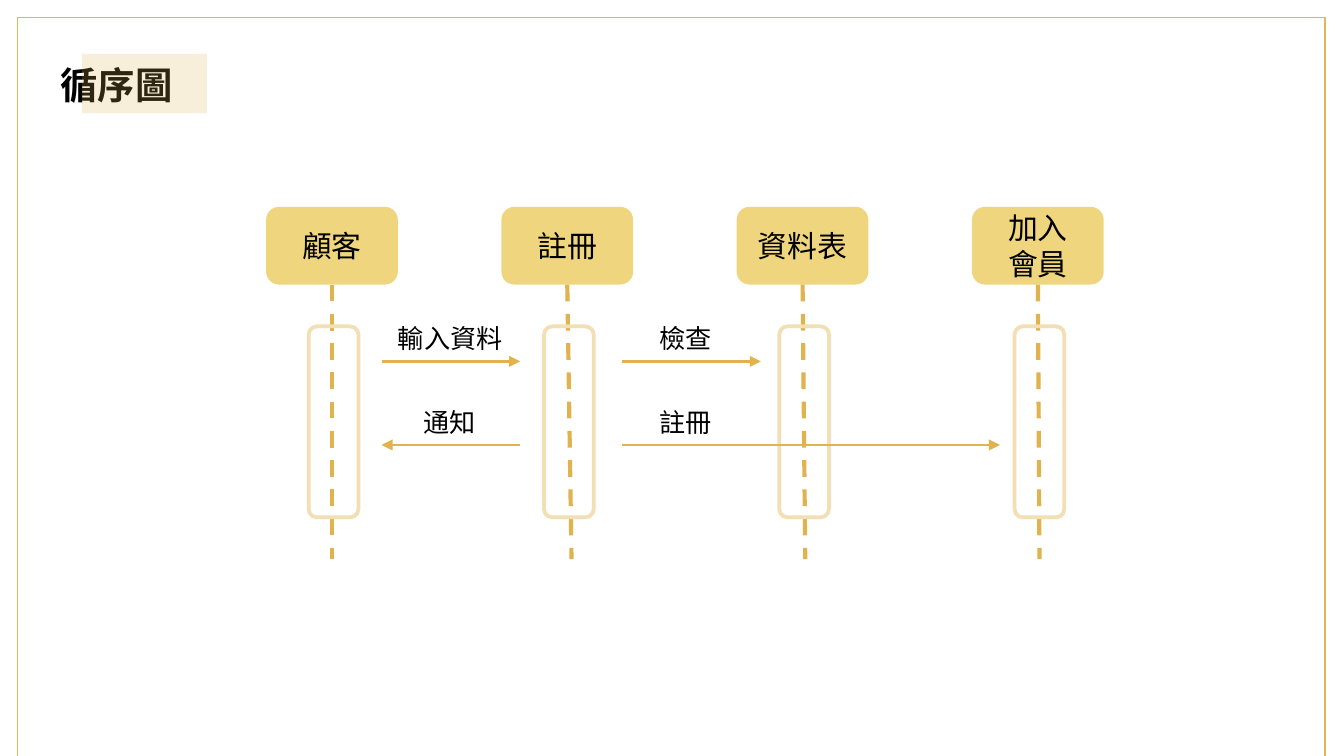
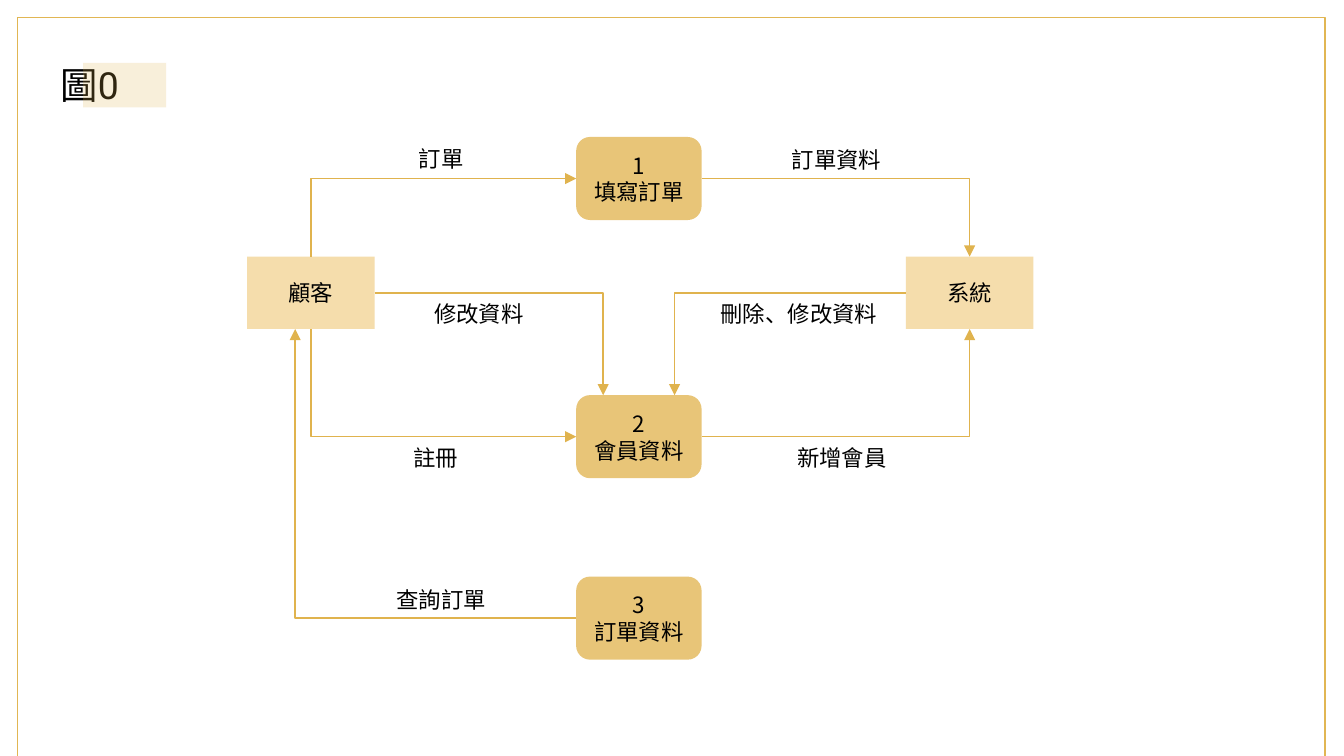
import collections

import lxml.etree
import pptx
import pptx.dml.color
import pptx.enum.dml
import pptx.enum.shapes
import pptx.enum.text
import pptx.oxml.ns
import pptx.util

Cm = pptx.util.Cm
Pt = pptx.util.Pt
RGBColor = pptx.dml.color.RGBColor
MSO_SHAPE = pptx.enum.shapes.MSO_SHAPE
MSO_CONNECTOR = pptx.enum.shapes.MSO_CONNECTOR
MSO_ANCHOR = pptx.enum.text.MSO_ANCHOR
PP_ALIGN = pptx.enum.text.PP_ALIGN
qn = pptx.oxml.ns.qn

BLACK = RGBColor(0x00, 0x00, 0x00)
FRAME_GOLD = RGBColor(0xE1, 0xB6, 0x53)
LINE_GOLD = RGBColor(0xE0, 0xB3, 0x4E)
HEADER_YELLOW = RGBColor(0xEF, 0xD6, 0x7E)
ACTIVATION_CREAM = RGBColor(0xF2, 0xDF, 0xB4)
PROCESS_GOLD = RGBColor(0xE8, 0xC5, 0x78)
ENTITY_CREAM = RGBColor(0xF5, 0xDD, 0xAC)

CJK_FONT = "Noto Sans CJK SC"
TITLE_FONT = "Roboto"
MESSAGE_FONT = "Arial"
CM_PER_POINT = 2.54 / 72

Box = collections.namedtuple("Box", "left top width height")


def format_text(text_frame, size, font_name=CJK_FONT, bold=False, align=PP_ALIGN.LEFT):
    """Format every run of a text frame alike."""
    for paragraph in text_frame.paragraphs:
        paragraph.alignment = align
        for run in paragraph.runs:
            run.font.size = Pt(size)
            run.font.name = font_name
            run.font.bold = bold
            run.font.color.rgb = BLACK
            east_asian = lxml.etree.Element(qn("a:ea"), typeface=CJK_FONT)
            run.font._element.find(qn("a:latin")).addnext(east_asian)


def add_box(slide, kind, box, fill=None, line=None, line_width=0.75, text="", size=12):
    """Add a preset shape with optional fill, outline and centred text."""
    shape = slide.shapes.add_shape(kind, *(Cm(length) for length in box))
    shape.shadow.inherit = False
    if fill is None:
        shape.fill.background()
    else:
        shape.fill.solid()
        shape.fill.fore_color.rgb = fill
    if line is None:
        shape.line.fill.background()
    else:
        shape.line.color.rgb = line
        shape.line.width = Pt(line_width)
    if text:
        shape.text_frame.text = text
        shape.text_frame.vertical_anchor = MSO_ANCHOR.MIDDLE
        format_text(shape.text_frame, size, align=PP_ALIGN.CENTER)
    return shape


def add_label(slide, center, top, text, size, font_name=CJK_FONT):
    """Add a one-line label centred on a horizontal position."""
    width = len(text) * size * CM_PER_POINT + 0.52
    height = 0.76 if size == 12 else 0.86
    label = slide.shapes.add_textbox(Cm(center - width / 2), Cm(top), Cm(width), Cm(height))
    label.text_frame.word_wrap = False
    label.text_frame.text = text
    format_text(label.text_frame, size, font_name)


def add_line(slide, start, end, width, arrow=True, kind=MSO_CONNECTOR.STRAIGHT):
    """Add a gold connector, with an arrowhead at its end if wanted."""
    connector = slide.shapes.add_connector(kind, *(Cm(length) for length in (*start, *end)))
    connector.line.color.rgb = LINE_GOLD
    connector.line.width = Pt(width)
    if arrow:
        outline = connector.line._get_or_add_ln()
        lxml.etree.SubElement(outline, qn("a:tailEnd"), type="triangle")
    lxml.etree.SubElement(connector.element.spPr, qn("a:effectLst"))
    return connector


def add_bend(slide, start, end, vertical_first=False):
    """Add an arrow with one right-angle bend; a vertical start must lead right."""
    if vertical_first:
        middle_x, middle_y = (start[0] + end[0]) / 2, (start[1] + end[1]) / 2
        half_x, half_y = (end[0] - start[0]) / 2, (end[1] - start[1]) / 2
        start = (middle_x + half_y, middle_y - half_x)
        end = (middle_x - half_y, middle_y + half_x)
    connector = add_line(slide, start, end, 0.75, kind=MSO_CONNECTOR.ELBOW)
    properties = connector.element.spPr
    properties.find(qn("a:prstGeom")).set("prst", "bentConnector2")
    if vertical_first:
        properties.find(qn("a:xfrm")).set("rot", str(270 * 60000))


def add_frame(slide, layout):
    """Put the thin gold frame on the shared layout."""
    frame = add_box(slide, MSO_SHAPE.RECTANGLE, Box(0.33, 0.33, 24.71, 13.97), line=FRAME_GOLD)
    layout.shapes.element.append(frame.element)


def add_title(slide, text, highlight, bold=False):
    """Format the title placeholder and lay a translucent highlight over it."""
    title = slide.shapes.title
    title.left, title.top, title.width, title.height = Cm(0.89), Cm(1.04), Cm(4.95), Cm(1.12)
    title.text_frame.text = text
    title.text_frame.vertical_anchor = MSO_ANCHOR.TOP
    title.text_frame.auto_size = pptx.enum.text.MSO_AUTO_SIZE.NONE
    format_text(title.text_frame, 20, TITLE_FONT, bold)
    shape = add_box(slide, MSO_SHAPE.RECTANGLE, highlight, fill=FRAME_GOLD)
    color = shape.element.spPr.find(qn("a:solidFill")).find(qn("a:srgbClr"))
    lxml.etree.SubElement(color, qn("a:alpha"), val="21000")


def add_lifelines(slide, box):
    """Draw the participants with their dashed lifelines and activation bars."""
    width, height, bar_width = 2.49, 1.47, 0.94
    participants = [("顧客", 0), ("註冊", 0.08), ("資料表", 0.05), ("加入\v會員", 0.03)]
    pitch = (box.width - width) / (len(participants) - 1)
    for index, (name, drift) in enumerate(participants):
        left = box.left + index * pitch
        center = left + width / 2
        header = add_box(slide, MSO_SHAPE.ROUNDED_RECTANGLE, Box(left, box.top, width, height),
                         fill=HEADER_YELLOW, text=name, size=16)
        lifeline = add_line(slide, (center, box.top + height),
                            (center + drift, box.top + box.height), 2.25, arrow=False)
        lifeline.line.dash_style = pptx.enum.dml.MSO_LINE.DASH
        lifeline.begin_connect(header, 2)
        bar = Box(center + 0.03 - bar_width / 2, box.top + 2.26, bar_width, 3.61)
        add_box(slide, MSO_SHAPE.ROUNDED_RECTANGLE, bar, line=ACTIVATION_CREAM, line_width=2)


def add_messages(slide, box):
    """Draw the labelled message arrows between the lifelines."""
    messages = [
        ("輸入資料", 2.18, 4.8, 2.92, 3.49),
        ("檢查", 6.73, 9.35, 2.92, 7.94),
        ("通知", 4.8, 2.18, 4.5, 3.47),
        ("註冊", 6.73, 13.87, 4.5, 7.94),
    ]
    for text, start, end, height, center in messages:
        y = box.top + height
        add_line(slide, (box.left + start, y), (box.left + end, y), 1.5)
        add_label(slide, box.left + center, y - 0.86, text, 14, MESSAGE_FONT)


def add_data_flow(slide, box):
    """Draw the entities, the processes and the flows between them."""
    process_width, process_height = 2.37, 1.57
    entity_width, entity_height = 2.41, 1.37
    process_left = box.left + 6.22
    process_right = process_left + process_width
    entity_top = box.top + 2.26
    entity_bottom = entity_top + entity_height
    entity_middle = entity_top + entity_height / 2
    customer_right = box.left + entity_width
    customer_center = box.left + entity_width / 2
    system_left = box.left + box.width - entity_width
    system_center = system_left + entity_width / 2
    process_tops = [box.top, box.top + 4.88, box.top + box.height - process_height]
    order_y, member_y, query_y = (top + process_height / 2 for top in process_tops)
    member_top = process_tops[1]

    names = ["填寫訂單", "會員資料", "訂單資料"]
    for number, (name, top) in enumerate(zip(names, process_tops), 1):
        add_box(slide, MSO_SHAPE.ROUNDED_RECTANGLE,
                Box(process_left, top, process_width, process_height),
                fill=PROCESS_GOLD, text=f"{number}\n{name}")
    for name, left in [("顧客", box.left), ("系統", system_left)]:
        add_box(slide, MSO_SHAPE.RECTANGLE, Box(left, entity_top, entity_width, entity_height),
                fill=ENTITY_CREAM, text=name)

    add_bend(slide, (customer_center, entity_top), (process_left, order_y), vertical_first=True)
    add_bend(slide, (process_right, order_y), (system_center, entity_top))
    add_bend(slide, (process_right, member_y), (system_center, entity_bottom))
    add_bend(slide, (customer_center, entity_bottom), (process_left, member_y), vertical_first=True)
    add_bend(slide, (customer_right, entity_middle), (process_left + 0.51, member_top))
    add_bend(slide, (system_left, entity_middle), (process_right - 0.51, member_top))
    add_bend(slide, (process_left, query_y), (box.left + 0.91, entity_bottom))

    labels = [
        ("訂單", 3.68, 0.03), ("訂單資料", 11.15, 0.05),
        ("修改資料", 4.39, 2.95), ("刪除、修改資料", 10.44, 2.95),
        ("註冊", 3.58, 5.69), ("新增會員", 11.25, 5.69),
        ("查詢訂單", 3.68, 8.36),
    ]
    for text, center, top in labels:
        add_label(slide, box.left + center, box.top + top, text, 12)


def main():
    """Build both slides and save the presentation."""
    presentation = pptx.Presentation()
    presentation.slide_width, presentation.slide_height = Cm(25.4), Cm(14.29)
    layout = presentation.slide_layouts[5]

    sequence_slide = presentation.slides.add_slide(layout)
    add_frame(sequence_slide, layout)
    add_title(sequence_slide, "循序圖", Box(1.55, 1.02, 2.36, 1.12), bold=True)
    sequence_box = Box(5.03, 3.91, 15.83, 6.66)
    add_lifelines(sequence_slide, sequence_box)
    add_messages(sequence_slide, sequence_box)

    flow_slide = presentation.slides.add_slide(layout)
    add_title(flow_slide, "圖0", Box(1.57, 1.19, 1.57, 0.84))
    add_data_flow(flow_slide, Box(4.67, 2.59, 14.86, 9.88))

    presentation.save("out.pptx")


if __name__ == "__main__":
    main()
